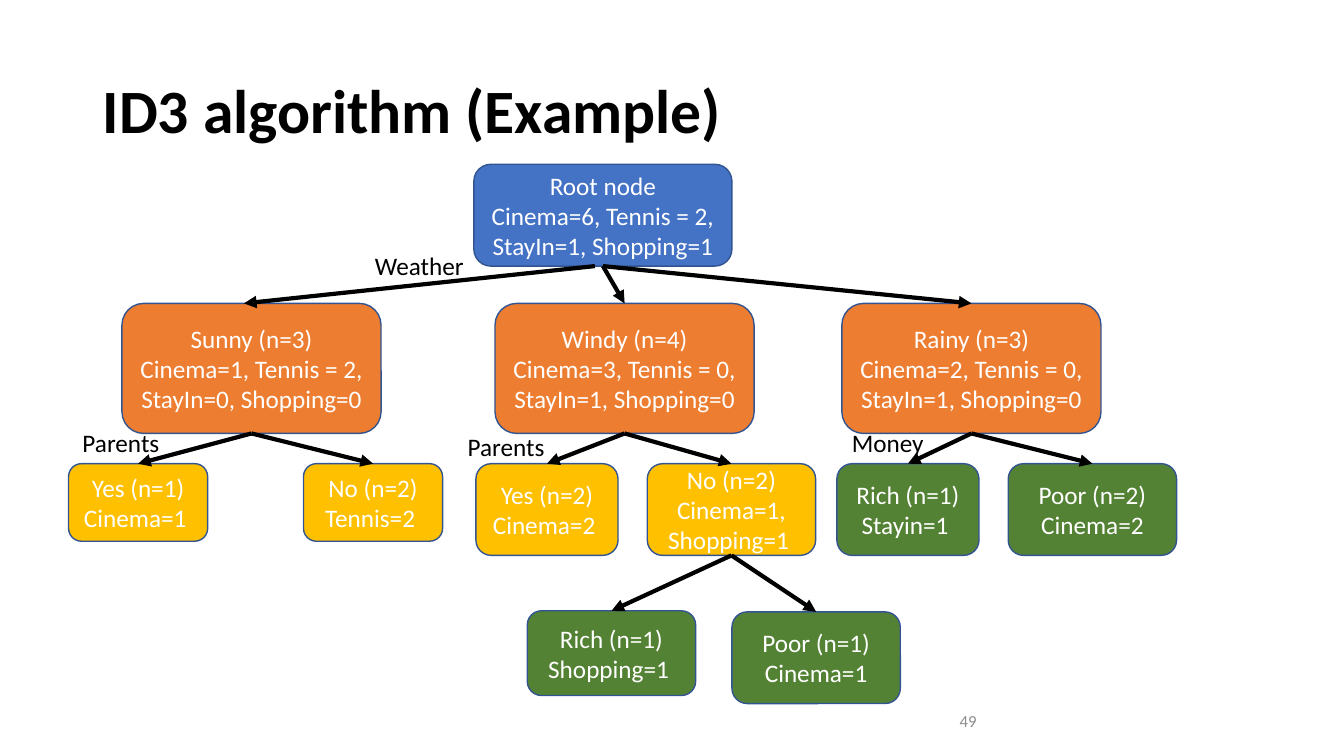
from lxml.etree import SubElement as Sub
from pptx import Presentation
from pptx.dml.color import RGBColor as Rgb
from pptx.enum.shapes import MSO_CONNECTOR as Conn, MSO_SHAPE as Geom
from pptx.enum.text import MSO_ANCHOR as Anchor, PP_ALIGN as Align
from pptx.oxml.ns import qn
from pptx.util import Inches, Pt

HUES = {
    "root": "4472C4", "day": "ED7D31", "kin": "FFC000", "cash": "548235",
    "edge": "325491", "ink": "000000", "pale": "FFFFFF", "gray": "8C8C8C",
}
NODES = {
    "root": ("root", (4.7, 1.63, 2.56, 1.01),
             "Root node\nCinema=6, Tennis = 2, StayIn=1, Shopping=1"),
    "sunny": ("day", (1.21, 3.01, 2.57, 1.29),
              "Sunny (n=3)\nCinema=1, Tennis = 2, StayIn=0, Shopping=0"),
    "windy": ("day", (4.91, 3.01, 2.57, 1.29),
              "Windy (n=4)\nCinema=3, Tennis = 0, StayIn=1, Shopping=0"),
    "rainy": ("day", (8.35, 3.01, 2.57, 1.29),
              "Rainy (n=3)\nCinema=2, Tennis = 0, StayIn=1, Shopping=0"),
    "sun yes": ("kin", (0.68, 4.6, 1.38, 0.77), "Yes (n=1)\nCinema=1 "),
    "sun no": ("kin", (3.01, 4.6, 1.38, 0.77), "No (n=2)\nTennis=2 "),
    "wind yes": ("kin", (4.72, 4.6, 1.41, 0.91), "Yes (n=2)\nCinema=2 "),
    "wind no": ("kin", (6.42, 4.6, 1.67, 0.91),
                "No (n=2)\nCinema=1, Shopping=1 "),
    "rain rich": ("cash", (8.3, 4.6, 1.41, 0.91), "Rich (n=1)\nStayin=1 "),
    "rain poor": ("cash", (10, 4.6, 1.67, 0.91), "Poor (n=2)\nCinema=2"),
    "no rich": ("cash", (5.23, 6.06, 1.67, 0.84), "Rich (n=1)\nShopping=1 "),
    "no poor": ("cash", (7.26, 6.07, 1.67, 0.91), "Poor (n=1)\nCinema=1"),
}
TREE = {
    "root": ("windy", "rainy"),
    "sunny": ("sun yes", "sun no"),
    "windy": ("wind yes", "wind no"),
    "rainy": ("rain rich", "rain poor"),
    "wind no": ("no rich", "no poor"),
}
TESTS = [("Weather", 3.62, 2.43), ("Parents", 0.72, 4.19),
         ("Parents", 4.54, 4.23), ("Money", 8.35, 4.19)]


def color(name):
    """Return the named colour."""
    return Rgb.from_string(HUES[name])


def write(shape, text, hue, size=18, bold=False, align=Align.LEFT,
          anchor=Anchor.MIDDLE, space=1.0):
    """Fill a shape with text, one paragraph to a line."""
    frame = shape.text_frame
    frame.word_wrap = True
    frame.vertical_anchor = anchor
    frame.text = text
    style = {"name": "Calibri", "size": Pt(size), "bold": bold}
    for para in frame.paragraphs:
        para.alignment = align
        para.line_spacing = space
        for run in para.runs:
            for key, value in style.items():
                setattr(run.font, key, value)
            run.font.color.rgb = color(hue)


def label(slide, box, text, hue="ink", **style):
    """Add a text box."""
    shape = slide.shapes.add_textbox(*map(Inches, box))
    write(shape, text, hue, **style)


def node(slide, hue, box, text):
    """Add a rounded tree node."""
    shape = slide.shapes.add_shape(Geom.ROUNDED_RECTANGLE, *map(Inches, box))
    shape.shadow.inherit = False
    shape.fill.solid()
    shape.fill.fore_color.rgb = color(hue)
    shape.line.color.rgb = color("edge")
    shape.line.width = Pt(1)
    write(shape, text, "pale", align=Align.CENTER)
    return shape


def arrow(slide, ends=(0, 0, 0, 0)):
    """Add a thick black arrow."""
    wire = slide.shapes.add_connector(Conn.STRAIGHT, *map(Inches, ends))
    wire.line.color.rgb = color("ink")
    wire.line.width = Pt(3)
    Sub(wire.line._get_or_add_ln(), qn("a:tailEnd"), type="triangle")
    Sub(wire._element.spPr, qn("a:effectLst"))
    return wire


def branch(slide, upper, lower):
    """Join the foot of one node to the top of another."""
    wire = arrow(slide)
    wire.begin_connect(upper, 2)
    wire.end_connect(lower, 0)


def main():
    """Build the decision tree slide."""
    deck = Presentation()
    deck.slide_width, deck.slide_height = Inches(13.33), Inches(7.5)
    slide = deck.slides.add_slide(deck.slide_layouts[6])
    label(slide, (0.92, 0.4, 11.5, 1.45), "ID3 algorithm (Example)",
          size=44, bold=True, space=0.9)
    label(slide, (9.42, 6.95, 3, 0.4), "49", "gray", size=12)
    nodes = {name: node(slide, *spec) for name, spec in NODES.items()}
    arrow(slide, (5.9, 2.64, 2.42, 3.01))
    for upper, kids in TREE.items():
        for lower in kids:
            branch(slide, nodes[upper], nodes[lower])
    for text, left, top in TESTS:
        label(slide, (left, top, 1.36, 0.4), text, anchor=Anchor.TOP)
    deck.save("out.pptx")


if __name__ == "__main__":
    main()
